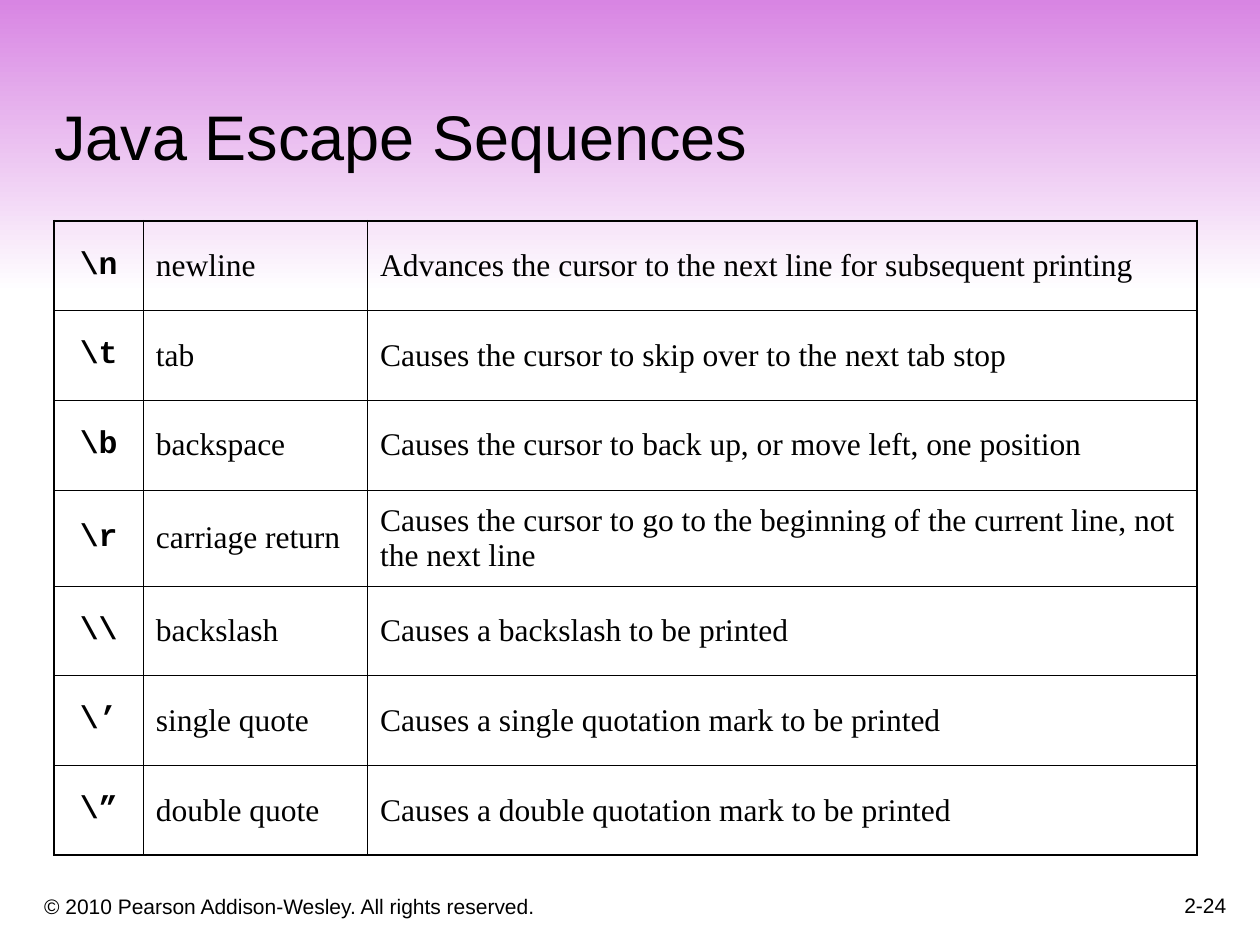
from pptx import Presentation
from pptx.dml.color import RGBColor
from pptx.enum.shapes import MSO_SHAPE
from pptx.enum.text import MSO_ANCHOR, PP_ALIGN
from pptx.oxml.ns import qn
from pptx.util import Cm, Pt
from lxml.etree import SubElement

BLACK, WHITE, VIOLET = "000000", "FFFFFF", "D885E3"

ESCAPES = [
    ("\\n", "newline", "Advances the cursor to the next line for subsequent printing"),
    ("\\t", "tab", "Causes the cursor to skip over to the next tab stop"),
    ("\\b", "backspace", "Causes the cursor to back up, or move left, one position"),
    ("\\r", "carriage return",
     "Causes the cursor to go to the beginning of the current line, not the next line"),
    ("\\\\", "backslash", "Causes a backslash to be printed"),
    ("\\’", "single quote", "Causes a single quotation mark to be printed"),
    ("\\”", "double quote", "Causes a double quotation mark to be printed"),
]
COLUMN_WIDTHS = [1.8, 4.52, 16.72]
ROW_HEIGHT, TWO_LINE_ROW_HEIGHT = 1.81, 1.93


def color(value):
    return RGBColor.from_string(value)


class SlideBuilder:
    heading_font = "Arial"
    code_font = "Courier New"
    body_font = "Times New Roman"
    inner_line, outer_line = Pt(0.45), Pt(1.08)

    def __init__(self, page):
        self.page = page

    def set_text(self, frame, text, size, font, align=PP_ALIGN.LEFT, bold=False):
        frame.word_wrap = True
        para = frame.paragraphs[0]
        para.text = text
        para.alignment = align
        para.font.size = Pt(size)
        para.font.name = font
        para.font.bold = bold
        para.font.color.rgb = color(BLACK)

    def title(self, text, left, top, width, height):
        box = self.page.shapes.title
        box.left, box.top, box.width, box.height = map(Cm, (left, top, width, height))
        box.text_frame.vertical_anchor = MSO_ANCHOR.BOTTOM
        self.set_text(box.text_frame, text, 36, self.heading_font)

    def gradient_band(self, left, top, width, height):
        """Add a band behind the title that fades downwards to white."""
        band = self.page.shapes.add_shape(
            MSO_SHAPE.RECTANGLE, *map(Cm, (left, top, width, height)))
        band.shadow.inherit = False
        band.line.fill.background()
        band.fill.gradient()
        band.fill.gradient_angle = 270
        for stop, shade in zip(band.fill.gradient_stops, (VIOLET, WHITE)):
            stop.color.rgb = color(shade)
        self.page.shapes.title._element.addprevious(band._element)

    def footer(self, text, left, top, width, height, align=PP_ALIGN.LEFT):
        box = self.page.shapes.add_textbox(*map(Cm, (left, top, width, height)))
        box.text_frame.vertical_anchor = MSO_ANCHOR.BOTTOM
        self.set_text(box.text_frame, text, 12, self.heading_font, align)

    def border(self, cell, side, width):
        line = SubElement(cell._tc.get_or_add_tcPr(), qn(f"a:ln{side}"), w=str(width))
        fill = SubElement(line, qn("a:solidFill"))
        SubElement(fill, qn("a:srgbClr"), val=BLACK)

    def table(self, rows, left, top, widths, heights):
        table = self.page.shapes.add_table(
            len(rows), len(widths), Cm(left), Cm(top),
            Cm(sum(widths)), Cm(sum(heights))).table
        table.first_row = table.horz_banding = False
        for column, width in zip(table.columns, widths):
            column.width = Cm(width)
        for row, height in zip(table.rows, heights):
            row.height = Cm(height)

        last_row, last_column = len(rows) - 1, len(widths) - 1
        for r, texts in enumerate(rows):
            for c, text in enumerate(texts):
                cell = table.cell(r, c)
                cell.vertical_anchor = MSO_ANCHOR.MIDDLE
                if c == 0:
                    self.set_text(cell.text_frame, text, 18, self.code_font,
                                  PP_ALIGN.CENTER, bold=True)
                else:
                    self.set_text(cell.text_frame, text, 18, self.body_font)
                outer_sides = {"L": c == 0, "R": c == last_column,
                               "T": r == 0, "B": r == last_row}
                for side, is_outer in outer_sides.items():
                    self.border(cell, side, self.outer_line if is_outer else self.inner_line)
                cell.fill.background()


def main():
    deck = Presentation()
    deck.slide_width, deck.slide_height = Cm(25.4), Cm(19.05)
    builder = SlideBuilder(deck.slides.add_slide(deck.slide_layouts.get_by_name("Title Only")))

    builder.gradient_band(0, 0, 25.4, 5.9)
    builder.footer("© 2010 Pearson Addison-Wesley. All rights reserved.",
                   0.64, 17.58, 15.44, 1.07)
    builder.footer("2-24", 19.69, 17.35, 5.28, 1.27, PP_ALIGN.RIGHT)
    builder.title("Java Escape Sequences", 0.84, 0.84, 23.93, 2.77)
    heights = [TWO_LINE_ROW_HEIGHT if len(meaning) > 70 else ROW_HEIGHT
               for _, _, meaning in ESCAPES]
    builder.table(ESCAPES, 1.09, 4.45, COLUMN_WIDTHS, heights)

    deck.save("out.pptx")


if __name__ == "__main__":
    main()
